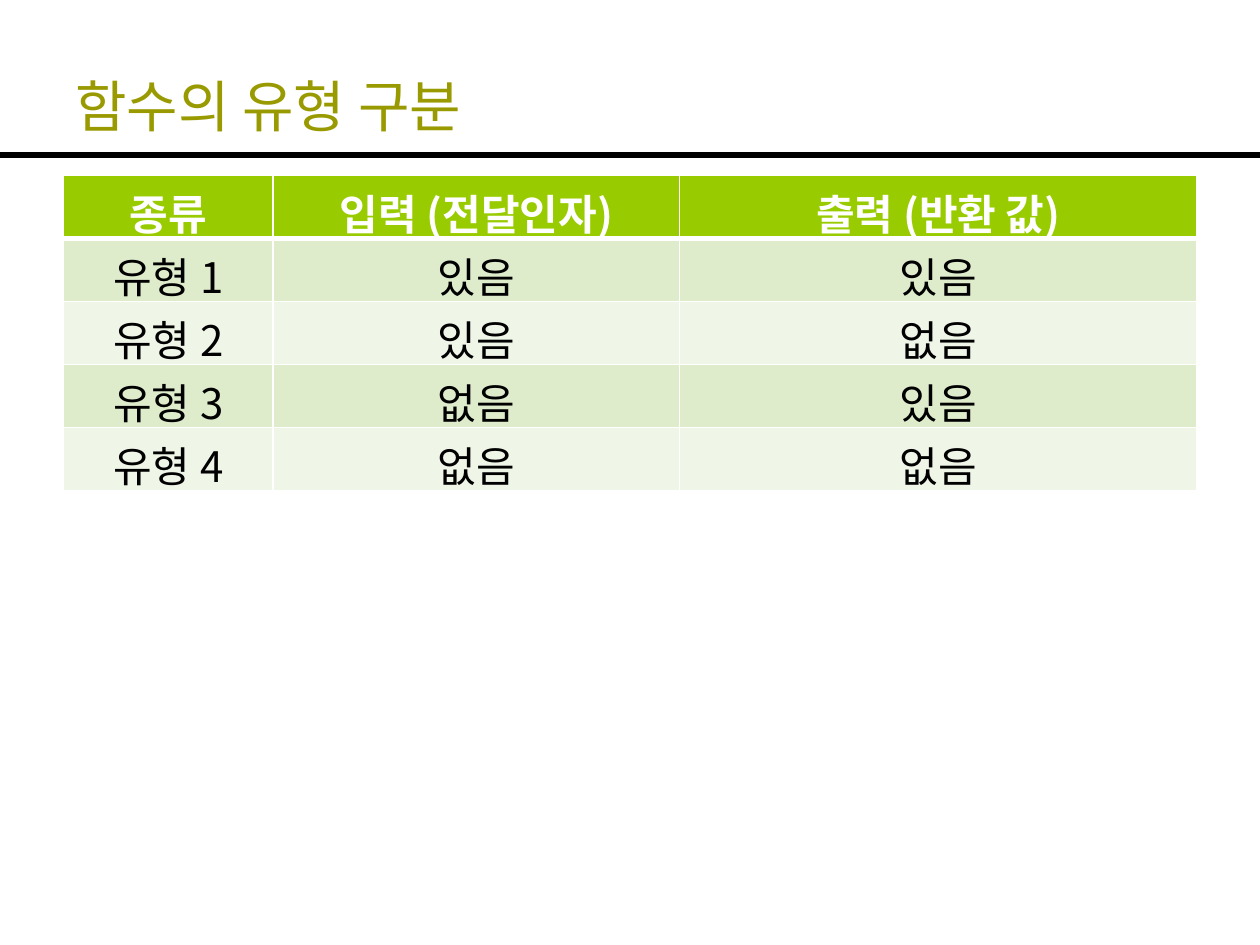
from pptx import Presentation
from pptx.dml.color import RGBColor
from pptx.enum.shapes import MSO_CONNECTOR
from pptx.enum.text import MSO_ANCHOR, PP_ALIGN
from pptx.oxml.ns import qn
from pptx.util import Pt
from lxml import etree

STRAIGHT = MSO_CONNECTOR.STRAIGHT
BOTTOM = MSO_ANCHOR.BOTTOM
CENTER = PP_ALIGN.CENTER

BLACK = RGBColor(0x00, 0x00, 0x00)
WHITE = RGBColor(0xFF, 0xFF, 0xFF)
OLIVE = RGBColor(0x99, 0x99, 0x00)
GREEN = RGBColor(0x99, 0xCC, 0x00)
BANDS = (RGBColor(0xDE, 0xEC, 0xCC), RGBColor(0xEF, 0xF6, 0xE7))

TITLE_FONT = "Vollkorn"
KOREAN_FONT = "Noto Sans CJK KR"

FUNCTION_TYPES = [
    ("종류", "입력 (전달인자)", "출력 (반환 값)"),
    ("유형 1", "있음", "있음"),
    ("유형 2", "있음", "없음"),
    ("유형 3", "없음", "있음"),
    ("유형 4", "없음", "없음"),
]


class SlideBuilder:
    def __init__(self, slide):
        self.slide = slide

    def style(self, paragraph, font_name, size, color, bold=False):
        for run in paragraph.runs:
            font = run.font
            font.name = font_name
            font.size = Pt(size)
            font.bold = bold
            font.color.rgb = color
            east_asian = etree.SubElement(run._r.get_or_add_rPr(), qn("a:ea"))
            east_asian.set("typeface", KOREAN_FONT)

    def title(self, text, left, top, width, height):
        shape = self.slide.shapes.add_textbox(Pt(left), Pt(top), Pt(width), Pt(height))
        text_frame = shape.text_frame
        text_frame.word_wrap = True
        text_frame.vertical_anchor = BOTTOM
        text_frame.text = text
        self.style(text_frame.paragraphs[0], TITLE_FONT, 32, OLIVE)

    def rule(self, left, right, y, weight):
        connector = self.slide.shapes.add_connector(
            STRAIGHT, Pt(left), Pt(y), Pt(right), Pt(y)
        )
        connector.line.color.rgb = BLACK
        connector.line.width = Pt(weight)
        etree.SubElement(connector._element.spPr, qn("a:effectLst"))

    def borders(self, cell, top, bottom):
        properties = cell._tc.get_or_add_tcPr()
        weights = {"a:lnL": 1, "a:lnR": 1, "a:lnT": top, "a:lnB": bottom}
        for position, (side, weight) in enumerate(weights.items()):
            line = etree.Element(qn(side), w=str(Pt(weight)))
            fill = etree.SubElement(line, qn("a:solidFill"))
            etree.SubElement(fill, qn("a:srgbClr"), val=str(WHITE))
            properties.insert(position, line)

    def table(self, rows, left, top, column_widths, row_height):
        shape = self.slide.shapes.add_table(
            len(rows), len(column_widths), Pt(left), Pt(top),
            Pt(sum(column_widths)), Pt(row_height * len(rows)),
        )
        table = shape.table
        table.horz_banding = False
        for column, width in zip(table.columns, column_widths):
            column.width = Pt(width)
        for row_index, row in enumerate(rows):
            header = row_index == 0
            for column_index, text in enumerate(row):
                cell = table.cell(row_index, column_index)
                cell.text_frame.text = text
                paragraph = cell.text_frame.paragraphs[0]
                paragraph.alignment = CENTER
                self.style(paragraph, KOREAN_FONT, 24, WHITE if header else BLACK, header)
                cell.fill.solid()
                cell.fill.fore_color.rgb = GREEN if header else BANDS[(row_index - 1) % 2]
                self.borders(cell, 3 if row_index == 1 else 1, 3 if header else 1)


def main():
    presentation = Presentation()
    presentation.slide_width = Pt(720)
    presentation.slide_height = Pt(540)
    slide = presentation.slides.add_slide(presentation.slide_layouts[6])
    builder = SlideBuilder(slide)
    builder.rule(0, 720, 88.5, 3)
    builder.title("함수의 유형 구분", 36, 21.6, 648, 61.2)
    builder.table(FUNCTION_TYPES, 36.4, 100.3, (119.6, 232.4, 295.6), 36)
    presentation.save("out.pptx")


if __name__ == "__main__":
    main()
